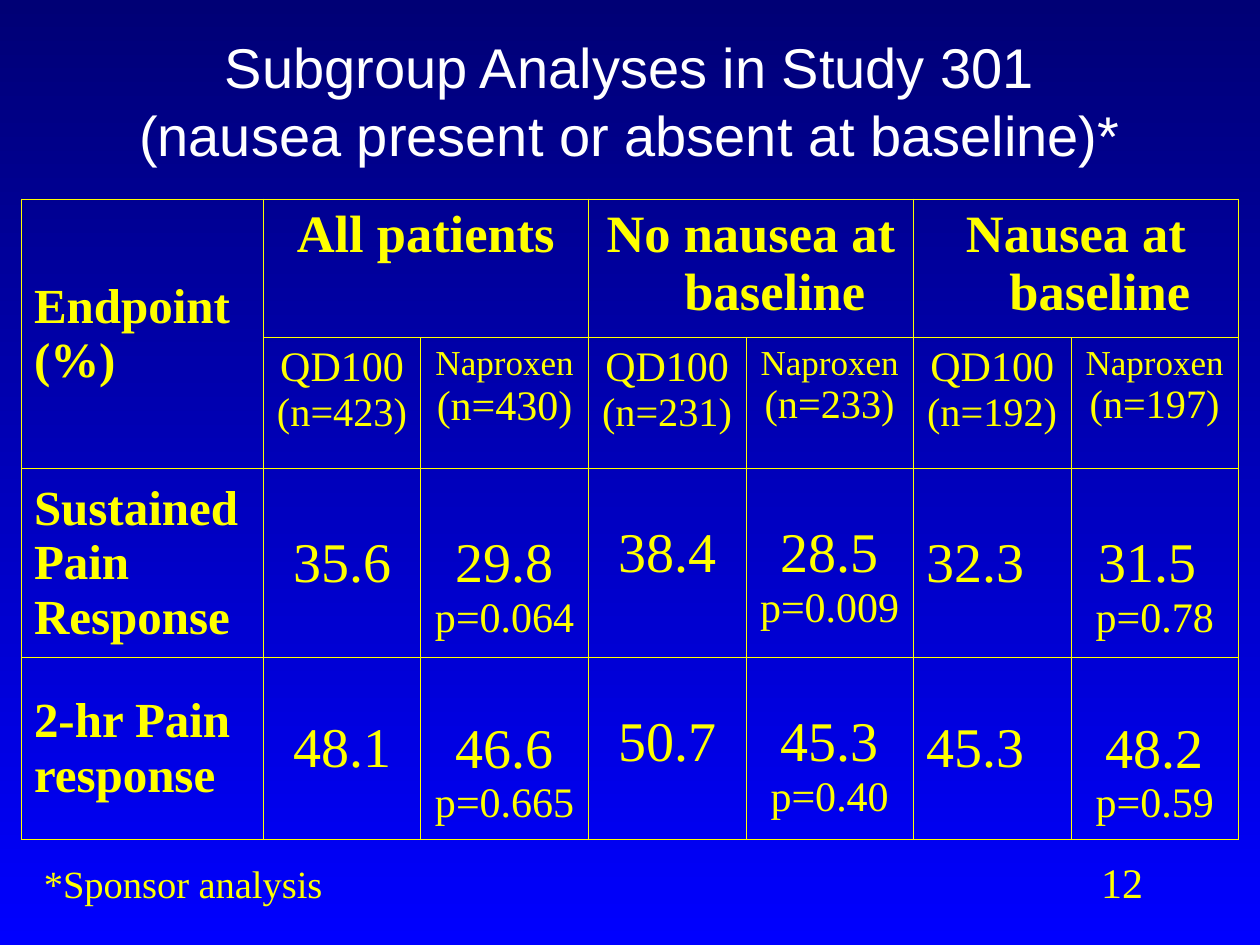
from dataclasses import dataclass
from typing import Optional

from lxml.etree import SubElement
from pptx import Presentation
from pptx.dml.color import RGBColor
from pptx.enum.text import MSO_ANCHOR as Anchor, MSO_AUTO_SIZE as AutoSize, PP_ALIGN as Align
from pptx.oxml.ns import qn
from pptx.util import Inches, Pt

WHITE = RGBColor(0xFF, 0xFF, 0xFF)
YELLOW = RGBColor(0xFF, 0xFF, 0x00)
NAVY = RGBColor(0x00, 0x00, 0x75)
BLUE = RGBColor(0x00, 0x00, 0xFF)
SERIF = "Times New Roman"
HANG = Inches(0.38)
LOWERED = 0.43  # top margin that leaves one 24-point line free


@dataclass
class Line:
    text: str
    size: float
    bold: bool = False


@dataclass
class Entry:
    lines: list[Line]
    align: Optional[Align] = Align.CENTER
    anchor: Anchor = Anchor.TOP
    top: float = 0.05


@dataclass
class Group:
    heading: str
    drug_n: Line
    naproxen_n: Line


@dataclass
class Endpoint:
    label: list[str]
    entries: list[Entry]


def write(frame, lines: list[Line], *, font: str = SERIF, color: RGBColor = YELLOW,
          align: Optional[Align] = None, hang: int = 0) -> None:
    """Put one paragraph per line into the frame."""
    for number, line in enumerate(lines):
        paragraph = frame.add_paragraph() if number else frame.paragraphs[0]
        paragraph.text = line.text
        paragraph.alignment = align
        if hang:
            properties = paragraph._p.get_or_add_pPr()
            properties.set("marL", str(hang))
            properties.set("indent", str(-hang))
        for run in paragraph.runs:
            run.font.name = font
            run.font.size = Pt(line.size)
            run.font.bold = line.bold
            run.font.color.rgb = color


def draw_borders(cell) -> None:
    properties = cell._tc.get_or_add_tcPr()
    for position, side in enumerate(("lnL", "lnR", "lnT", "lnB")):
        border = SubElement(properties, qn(f"a:{side}"), w=str(Pt(0.45)))
        fill = SubElement(border, qn("a:solidFill"))
        SubElement(fill, qn("a:srgbClr"), val=str(YELLOW))
        properties.insert(position, border)


def fill_cell(cell, entry: Entry) -> None:
    cell.vertical_anchor = entry.anchor
    cell.margin_top = Inches(entry.top)
    write(cell.text_frame, entry.lines, align=entry.align, hang=HANG)


def label(*words: str) -> Entry:
    return Entry([Line(word, 28, True) for word in words], None, Anchor.MIDDLE)


def value(text: str, align: Optional[Align] = Align.CENTER) -> Entry:
    return Entry([Line(text, 32)], align, Anchor.MIDDLE)


def lowered(text: str, p_value: str = "", anchor: Anchor = Anchor.TOP) -> Entry:
    lines = [Line(text, 32)] + ([Line(p_value, 24)] if p_value else [])
    return Entry(lines, anchor=anchor, top=LOWERED)


def add_note(slide, text: str, size: float, left: float, top: float,
             width: float, wrap: bool) -> None:
    box = slide.shapes.add_textbox(Inches(left), Inches(top), Inches(width), Inches(0.5))
    box.text_frame.word_wrap = wrap
    write(box.text_frame, [Line(text, size)])


GROUPS = [
    Group("All patients", Line("(n=423)", 23), Line("(n=430)", 24)),
    Group("No nausea at baseline", Line("(n=231)", 23), Line("(n=233)", 23)),
    Group("Nausea at baseline", Line("(n=192)", 23), Line("(n=197)", 23)),
]
ENDPOINTS = [
    Endpoint(["Sustained", "Pain", "Response"], [
        value("35.6"), lowered("29.8", "p=0.064", Anchor.MIDDLE),
        lowered("38.4"), lowered("28.5", "p=0.009"),
        value("32.3", None), lowered("31.5 ", "p=0.78", Anchor.MIDDLE)]),
    Endpoint(["2-hr Pain", "response"], [
        value("48.1"), lowered("46.6", "p=0.665", Anchor.MIDDLE),
        lowered("50.7"), lowered("45.3", "p=0.40"),
        value("45.3", None), lowered("48.2", "p=0.59", Anchor.MIDDLE)]),
]
COLUMN_WIDTHS = [1.92] + [1.25, 1.33] * len(GROUPS)
ROW_HEIGHTS = [1.1, 1.04, 1.5, 1.44]


def add_results(slide) -> None:
    frame = slide.shapes.add_table(
        len(ROW_HEIGHTS), len(COLUMN_WIDTHS), Inches(0.17), Inches(1.58),
        Inches(sum(COLUMN_WIDTHS)), Inches(sum(ROW_HEIGHTS)))
    table = frame.table
    table.first_row = table.horz_banding = False
    for column, width in zip(table.columns, COLUMN_WIDTHS):
        column.width = Inches(width)
    for row, height in zip(table.rows, ROW_HEIGHTS):
        row.height = Inches(height)
    for cell in table.iter_cells():
        cell.fill.background()
        draw_borders(cell)

    # Headings
    table.cell(0, 0).merge(table.cell(1, 0))
    fill_cell(table.cell(0, 0), label("Endpoint", "(%)"))
    for number, group in enumerate(GROUPS):
        first = 1 + 2 * number
        table.cell(0, first).merge(table.cell(0, first + 1))
        fill_cell(table.cell(0, first), Entry([Line(group.heading, 30, True)]))
        fill_cell(table.cell(1, first), Entry([Line("QD100", 24), group.drug_n]))
        fill_cell(table.cell(1, first + 1), Entry([Line("Naproxen", 20), group.naproxen_n]))

    # Results
    for row, endpoint in enumerate(ENDPOINTS, start=2):
        for column, entry in enumerate([label(*endpoint.label), *endpoint.entries]):
            fill_cell(table.cell(row, column), entry)


def main() -> None:
    deck = Presentation()
    deck.slide_width, deck.slide_height = Inches(10), Inches(7.5)
    slide = deck.slides.add_slide(deck.slide_layouts[5])

    # Background
    background = slide.background.fill
    background.gradient()
    background.gradient_angle = 270
    for stop, color, position in zip(background.gradient_stops, (NAVY, BLUE), (0, 1)):
        stop.color.rgb = color
        stop.position = position

    # Title
    title = slide.shapes.title
    title.left, title.top = Inches(0.75), Inches(0.17)
    title.width, title.height = Inches(8.5), Inches(1.25)
    title.text_frame.auto_size = AutoSize.NONE
    title.text_frame.vertical_anchor = Anchor.MIDDLE
    heading = "Subgroup Analyses in Study 301\v(nausea present or absent at baseline)*"
    write(title.text_frame, [Line(heading, 32)], font="Arial", color=WHITE, align=Align.CENTER)

    add_results(slide)

    # Footnote and page number
    add_note(slide, "*Sponsor analysis", 22, 0.25, 6.78, 6.83, True)
    add_note(slide, "12", 24, 8.64, 6.75, 1.2, False)

    deck.save("out.pptx")


if __name__ == "__main__":
    main()
